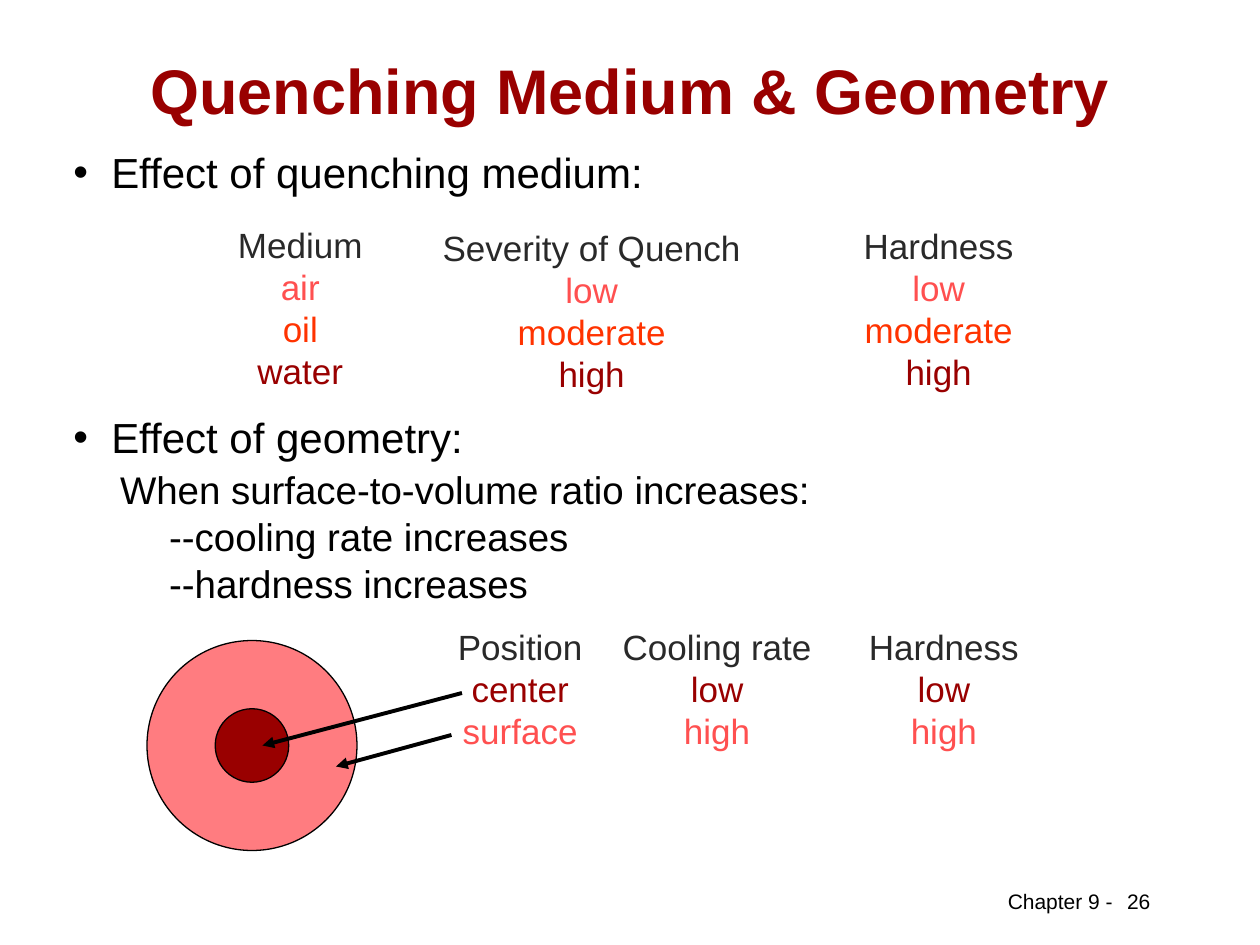
from lxml import etree
from pptx import Presentation
from pptx import util as u
from pptx.dml.color import RGBColor
from pptx.enum import shapes, text
from pptx.oxml.ns import qn

COLS, ROWS = 120, 90
INK = {"black": "000000", "head": "292929", "pale": "FF5050",
       "mid": "FF3300", "deep": "990000", "pink": "FF7C80"}
MID = text.PP_ALIGN.CENTER


class Deck:
    """Holds the style and the slide; places are in grid columns and rows."""

    def __init__(self, font="Arial"):
        self.prs = Presentation()
        self.prs.slide_width, self.prs.slide_height = u.Inches(10), u.Inches(7.5)
        self.font = font
        self.slide = self.prs.slides.add_slide(self.prs.slide_layouts[6])

    def grid(self, col, row):
        return (u.Emu(int(self.prs.slide_width * col / COLS)),
                u.Emu(int(self.prs.slide_height * row / ROWS)))

    def box(self, col, row, wide, high, wrap=True, inset=True):
        frame = self.slide.shapes.add_textbox(
            *self.grid(col, row), *self.grid(wide, high)).text_frame
        frame.word_wrap = wrap
        if not inset:
            frame.margin_left = frame.margin_right = 0
            frame.margin_top = frame.margin_bottom = 0
        return frame

    def line(self, frame, words, size, ink="black", align=None, bold=False,
             left=0, gap=0, dot=False):
        """Add one paragraph; left is its indent in inches, gap the points above."""
        first = not frame.paragraphs[0].runs
        para = frame.paragraphs[0] if first else frame.add_paragraph()
        para.alignment = align
        para.space_before = u.Pt(gap)
        run = para.add_run()
        run.text = words
        run.font.name, run.font.size, run.font.bold = self.font, u.Pt(size), bold
        run.font.color.rgb = RGBColor.from_string(INK[ink])
        props = para._p.get_or_add_pPr()
        props.set("marL", str(u.Inches(left)))
        props.set("indent", str(-u.Inches(left) if dot else 0))
        if dot:
            etree.SubElement(props, qn("a:buFont")).set("typeface", self.font)
            etree.SubElement(props, qn("a:buChar")).set("char", "•")

    def list(self, mid, row, wide, high, rows):
        """Add a list centred on a grid column, each entry in its own colour."""
        frame = self.box(mid - wide / 2, row, wide, high, wrap=False)
        frame.auto_size = text.MSO_AUTO_SIZE.SHAPE_TO_FIT_TEXT
        for words, ink in rows:
            self.line(frame, words, 20, ink, MID)

    def disc(self, col, row, size, ink):
        """Add a circle around the given centre."""
        disc = self.slide.shapes.add_shape(
            shapes.MSO_SHAPE.OVAL, *self.grid(col - size / 2, row - size / 2),
            *self.grid(size, size))
        disc.shadow.inherit = False
        disc.fill.solid()
        disc.fill.fore_color.rgb = RGBColor.from_string(INK[ink])
        disc.line.color.rgb = RGBColor.from_string(INK["black"])
        disc.line.width = u.Pt(0.75)

    def arrow(self, start, end):
        arrow = self.slide.shapes.add_connector(
            shapes.MSO_CONNECTOR.STRAIGHT, *self.grid(*start), *self.grid(*end))
        arrow.line.color.rgb = RGBColor.from_string(INK["black"])
        arrow.line.width = u.Pt(2.25)
        tip = etree.SubElement(arrow.line._get_or_add_ln(), qn("a:tailEnd"))
        tip.set("type", "triangle")
        etree.SubElement(arrow._element.spPr, qn("a:effectLst"))


def main():
    deck = Deck()

    title = deck.box(9, 5, 102, 7)
    title.vertical_anchor = text.MSO_ANCHOR.MIDDLE
    deck.line(title, "Quenching Medium & Geometry", 36, "deep", MID, bold=True)

    point = deck.box(7, 14, 85, 4.8, inset=False)
    deck.line(point, "Effect of quenching medium:", 24, left=0.3, dot=True)

    inks = ("head", "pale", "mid", "deep")
    for mid, row, wide, words in (
            (28.6, 20.7, 14.6, ("Medium", "air", "oil", "water")),
            (56.35, 21, 31.5, ("Severity of Quench", "low", "moderate", "high")),
            (89.4, 20.8, 17, ("Hardness", "low", "moderate", "high"))):
        deck.list(mid, row, wide, 17.2, zip(words, inks))

    point = deck.box(7, 39.2, 85, 18.4, inset=False)
    deck.line(point, "Effect of geometry:", 24, left=0.3, dot=True)
    deck.line(point, "When surface-to-volume ratio increases:", 22, left=0.37, gap=2.3)
    for words in ("--cooling rate increases", "--hardness increases"):
        deck.line(point, words, 22, left=0.76, gap=0.4)

    inks = ("head", "deep", "pale")
    for mid, wide, words in (
            (49.55, 14.6, ("Position", "center", "surface")),
            (68.3, 21, ("Cooling rate", "low", "high")),
            (89.9, 17, ("Hardness", "low", "high"))):
        deck.list(mid, 59, wide, 13.2, zip(words, inks))

    for size, ink in ((20, "pink"), (7, "deep")):
        deck.disc(24, 71, size, ink)
    deck.arrow((44, 66), (25, 71))
    deck.arrow((43, 70), (32, 73))

    deck.line(deck.box(94.8, 84, 12.4, 3.6, wrap=False), "Chapter 9 -", 12)
    deck.line(deck.box(100.7, 84, 15.5, 4.7), "26", 12, align=MID)

    deck.prs.save("out.pptx")


if __name__ == "__main__":
    main()
